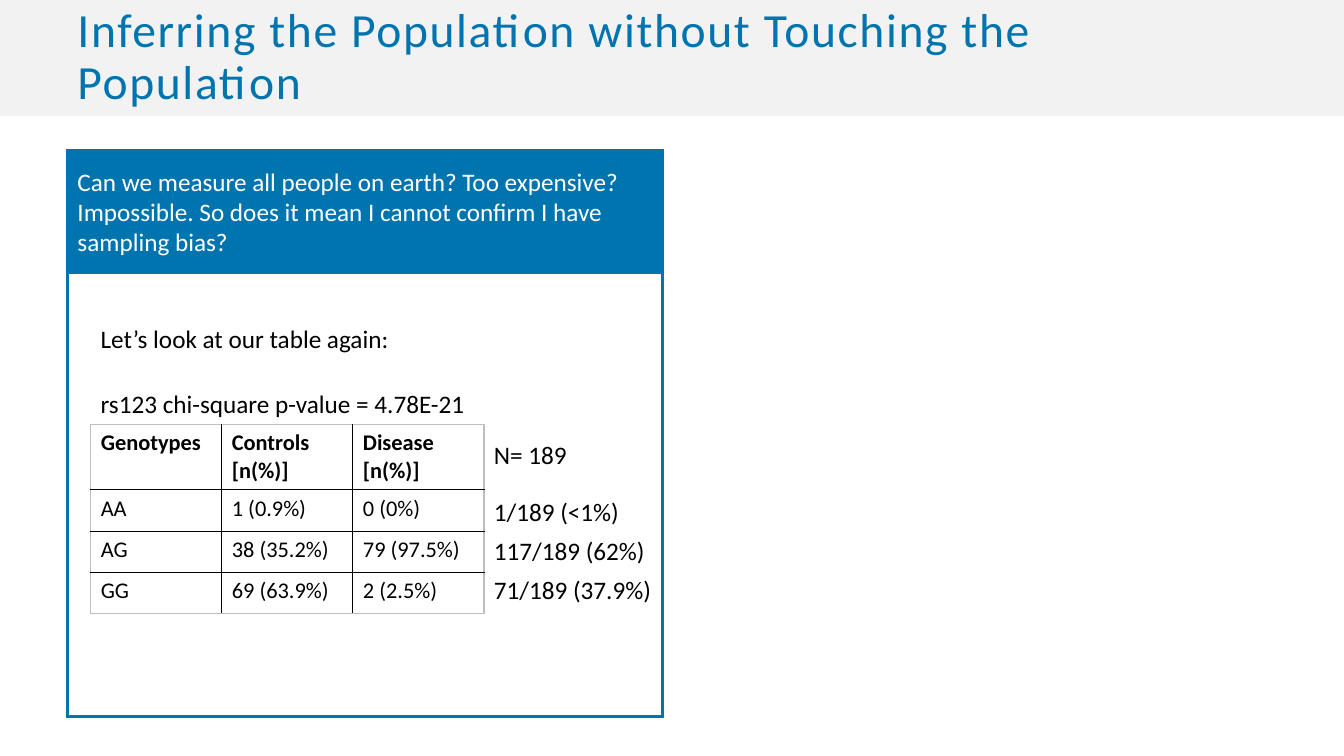
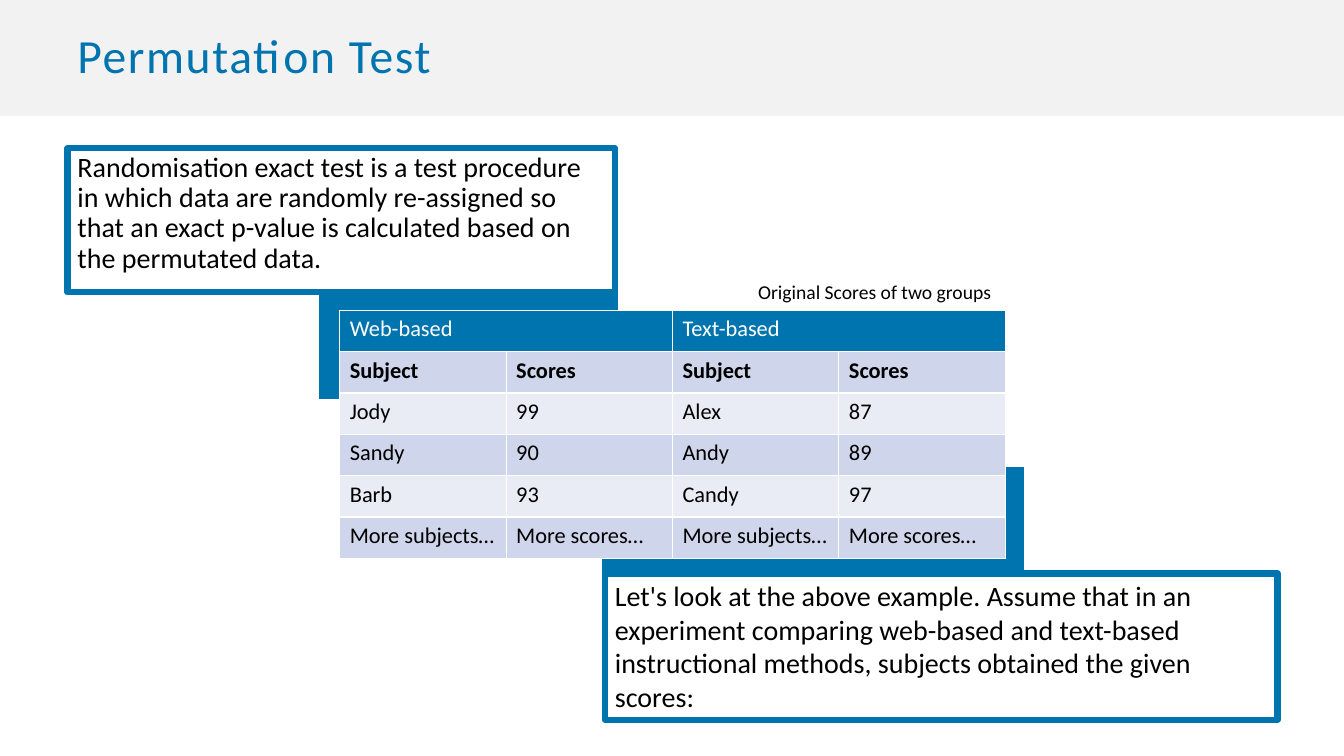
from pptx import Presentation
from pptx.dml.color import RGBColor
from pptx.enum.shapes import MSO_SHAPE
from pptx.enum.text import MSO_ANCHOR
from pptx.oxml.ns import qn
from pptx.util import Inches, Pt
from lxml.etree import SubElement

FONT = "Calibri"
BLUE = RGBColor(0x00, 0x74, 0xAF)
BAND_GREY = RGBColor(0xF2, 0xF2, 0xF2)
EDGE_GREY = RGBColor(0xBF, 0xBF, 0xBF)
ROW_DARK = RGBColor(0xCF, 0xD5, 0xEA)
ROW_LIGHT = RGBColor(0xE9, 0xEB, 0xF5)
BLACK = RGBColor(0x00, 0x00, 0x00)
WHITE = RGBColor(0xFF, 0xFF, 0xFF)

SLIDE_WIDTH, SLIDE_HEIGHT = 13.33, 7.5
BAND_HEIGHT = 1.15
ROW_HEIGHT = 0.41
LABEL_HEIGHT = 0.4

INFERRING_TITLE = "Inferring the Population without Touching the Population"
QUESTION = ("Can we measure all people on earth? Too expensive? Impossible. "
            "So does it mean I cannot confirm I have sampling bias?")
TABLE_INTRO = "Let’s look at our table again:"
P_VALUE = "rs123 chi-square p-value = 4.78E-21"
GENOTYPES = [
    ("Genotypes", "Controls [n(%)]", "Disease [n(%)]"),
    ("AA", "1 (0.9%)", "0 (0%)"),
    ("AG", "38 (35.2%)", "79 (97.5%)"),
    ("GG", "69 (63.9%)", "2 (2.5%)"),
]
SAMPLE_SIZE = "N= 189"
GENOTYPE_SHARES = [("1/189 (<1%)", 1.46), ("117/189 (62%)", 1.72), ("71/189 (37.9%)", 1.78)]

PERMUTATION_TITLE = "Permutation Test"
DEFINITION = ("Randomisation exact test is a test procedure in which data are randomly "
              "re-assigned so that an exact p-value is calculated based on the permutated data.")
SCORES_CAPTION = "Original Scores of two groups"
SCORES = [
    ("Web-based", "", "Text-based", ""),
    ("Subject", "Scores", "Subject", "Scores"),
    ("Jody", "99", "Alex", "87"),
    ("Sandy", "90", "Andy", "89"),
    ("Barb", "93", "Candy", "97"),
    ("More subjects…", "More scores…", "More subjects…", "More scores…"),
]
EXAMPLE = ("Let's look at the above example. Assume that in an experiment comparing web-based "
           "and text-based instructional methods, subjects obtained the given scores:")


def write(frame, text, size=18, color=BLACK, bold=False, line_spacing=None,
          tracking=None, anchor=MSO_ANCHOR.TOP, wrap=True):
    """Fill a text frame; tracking is the letter spacing in points."""
    frame.word_wrap = wrap
    frame.vertical_anchor = anchor
    paragraph = frame.paragraphs[0]
    if line_spacing:
        paragraph.line_spacing = line_spacing
    run = paragraph.add_run()
    run.text = text
    font = run.font
    font.name, font.size, font.bold = FONT, Pt(size), bold
    font.color.rgb = color
    if tracking:
        run._r.get_or_add_rPr().set("spc", str(round(tracking * 100)))


def add_text(slide, text, left, top, width, height, **text_format):
    box = slide.shapes.add_textbox(Inches(left), Inches(top), Inches(width), Inches(height))
    write(box.text_frame, text, **text_format)


def add_box(slide, left, top, width, height, fill=None, line_width=None,
            mitred=True, text=None, **text_format):
    """Draw a rectangle, left-aligned text inside; the outline is blue."""
    shape = slide.shapes.add_shape(MSO_SHAPE.RECTANGLE, Inches(left), Inches(top),
                                   Inches(width), Inches(height))
    shape.shadow.inherit = False
    if fill is None:
        shape.fill.background()
    else:
        shape.fill.solid()
        shape.fill.fore_color.rgb = fill
    if line_width:
        shape.line.color.rgb = BLUE
        shape.line.width = Pt(line_width)
        line = shape.line._get_or_add_ln()
        if mitred:
            SubElement(line, qn("a:miter")).set("lim", "800000")
        else:
            SubElement(line, qn("a:round"))
    else:
        shape.line.fill.background()
    if text:
        paragraph = shape.text_frame.paragraphs[0]
        paragraph.alignment = 1
        write(shape.text_frame, text, **text_format)


def set_borders(cell, colors, width=1):
    """Colour the left, right, top and bottom borders, in that order."""
    properties = cell._tc.get_or_add_tcPr()
    for side, color in zip("LRTB", colors):
        line = SubElement(properties, qn(f"a:ln{side}"))
        line.set("w", str(Pt(width)))
        fill = SubElement(line, qn("a:solidFill"))
        SubElement(fill, qn("a:srgbClr")).set("val", str(color))


def add_grid(slide, rows, left, top, column_width, row_heights, style_row, inner, outer):
    """Add a table; style_row(index) gives the fill and text format of a row."""
    row_count, column_count = len(rows), len(rows[0])
    table = slide.shapes.add_table(
        row_count, column_count, Inches(left), Inches(top),
        Inches(column_width * column_count), Inches(sum(row_heights))).table
    table.first_row = table.horz_banding = False
    for column in table.columns:
        column.width = Inches(column_width)
    for row_index, (texts, height) in enumerate(zip(rows, row_heights)):
        table.rows[row_index].height = Inches(height)
        fill, text_format = style_row(row_index)
        for column_index, text in enumerate(texts):
            cell = table.cell(row_index, column_index)
            on_edge = (column_index == 0, column_index == column_count - 1,
                       row_index == 0, row_index == row_count - 1)
            set_borders(cell, [outer if edge else inner for edge in on_edge])
            if fill is None:
                cell.fill.background()
            else:
                cell.fill.solid()
                cell.fill.fore_color.rgb = fill
            if text:
                write(cell.text_frame, text, size=16, **text_format)
    return table


def genotype_row(index):
    return None, {"bold": index == 0}


def score_row(index):
    if index == 0:
        return BLUE, {"color": WHITE}
    return (ROW_DARK if index % 2 else ROW_LIGHT), {"bold": index == 1}


def add_slide(presentation, title):
    """Add a blank slide with the title band."""
    slide = presentation.slides.add_slide(presentation.slide_layouts[6])
    add_box(slide, 0, 0, SLIDE_WIDTH, BAND_HEIGHT, fill=BAND_GREY)
    add_text(slide, title, 0.67, 0, 12, BAND_HEIGHT, size=34, color=BLUE,
             line_spacing=0.9, tracking=1.2, anchor=MSO_ANCHOR.MIDDLE)
    return slide


def build_inferring(presentation):
    slide = add_slide(presentation, INFERRING_TITLE)
    add_box(slide, 0.67, 1.49, 5.9, 5.62, fill=WHITE, line_width=2.25)
    add_box(slide, 0.67, 1.5, 5.89, 1.2, fill=BLUE, line_width=2.25,
            text=QUESTION, color=WHITE, anchor=MSO_ANCHOR.MIDDLE)
    heights = [0.65] + [ROW_HEIGHT] * (len(GENOTYPES) - 1)
    add_grid(slide, GENOTYPES, 0.9, 4.21, 1.3, heights, genotype_row,
             inner=BLACK, outer=EDGE_GREY)
    add_text(slide, P_VALUE, 0.9, 3.8, 4.17, LABEL_HEIGHT)
    add_text(slide, TABLE_INTRO, 0.9, 3.16, 3.09, LABEL_HEIGHT, wrap=False)
    add_text(slide, SAMPLE_SIZE, 4.8, 4.31, 0.99, LABEL_HEIGHT, wrap=False)
    for index, (share, width) in enumerate(GENOTYPE_SHARES):
        add_text(slide, share, 4.8, 4.87 + 0.39 * index, width, LABEL_HEIGHT, wrap=False)


def build_permutation(presentation):
    slide = add_slide(presentation, PERMUTATION_TITLE)
    for left, top, width in [(6, 4.66, 4.13), (3.2, 2.9, 2.9)]:
        add_box(slide, left, top, width, 1.03, fill=BLUE, line_width=4.5)
    add_box(slide, 0.67, 1.47, 5.43, 1.43, line_width=4.5, mitred=False,
            text=DEFINITION, size=20, line_spacing=0.9)
    table = add_grid(slide, SCORES, 3.37, 3.08, 1.65, [ROW_HEIGHT] * len(SCORES),
                     score_row, inner=WHITE, outer=WHITE)
    for column in (0, 2):
        table.cell(0, column).merge(table.cell(0, column + 1))
    add_box(slide, 6, 5.69, 6.67, 1.45, line_width=4.5, mitred=False,
            text=EXAMPLE, size=20)
    add_text(slide, SCORES_CAPTION, 7.42, 2.73, 2.54, 0.34, size=14)


def main():
    presentation = Presentation()
    presentation.slide_width = Inches(SLIDE_WIDTH)
    presentation.slide_height = Inches(SLIDE_HEIGHT)
    build_inferring(presentation)
    build_permutation(presentation)
    presentation.save("out.pptx")


if __name__ == "__main__":
    main()
